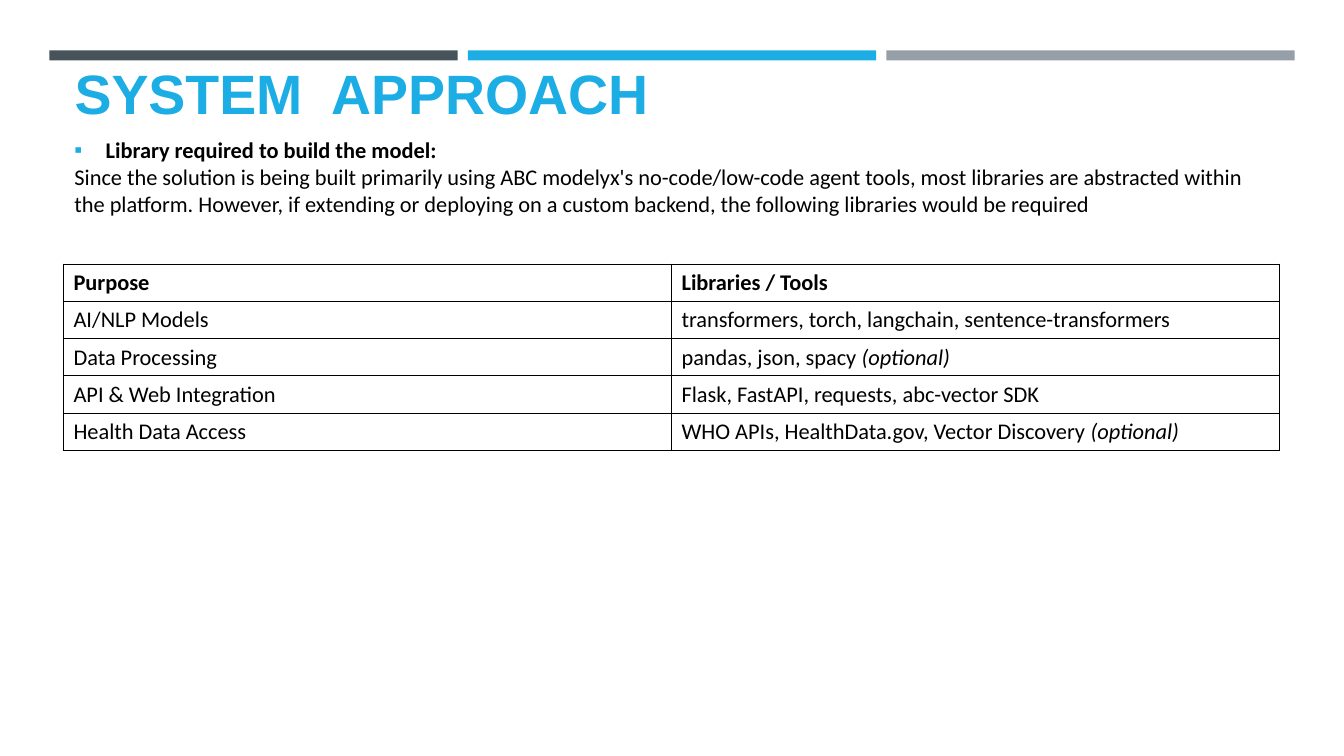
import pptx
import pptx.util
import pptx.dml.color
import pptx.enum.shapes
import pptx.enum.text
import pptx.oxml
import pptx.oxml.ns
from dataclasses import dataclass
from pptx.util import Inches


@dataclass(frozen=True)
class Theme:
    accent: str = "1CADE4"
    slate: str = "465359"
    grey: str = "969FA7"
    ink: str = "000000"
    title_font: str = "Arial"
    body_font: str = "Calibri"
    title_size: float = 39.6
    body_size: float = 16


theme = Theme()


def style_font(font, name, size, color, bold=False):
    font.name = name
    font.size = pptx.util.Pt(size)
    font.color.rgb = pptx.dml.color.RGBColor.from_string(color)
    font.bold = bold


def add_xml(parent, markup):
    namespace = pptx.oxml.ns.nsdecls("a")
    parent.append(pptx.oxml.parse_xml(markup.replace(" ", f" {namespace} ", 1)))


presentation = pptx.Presentation()
presentation.slide_width = Inches(13.33)
presentation.slide_height = Inches(7.5)
slide = presentation.slides.add_slide(presentation.slide_layouts[5])

# Three bars across the top
for index, color in enumerate([theme.slate, theme.accent, theme.grey]):
    bar = slide.shapes.add_shape(
        pptx.enum.shapes.MSO_SHAPE.RECTANGLE,
        Inches(0.49 + index * 4.15), Inches(0.5), Inches(4.05), Inches(0.1))
    bar.shadow.inherit = False
    bar.fill.solid()
    bar.fill.fore_color.rgb = pptx.dml.color.RGBColor.from_string(color)
    bar.line.fill.background()

# Title
title = slide.shapes.title
title.left, title.top = Inches(0.64), Inches(0.72)
title.width, title.height = Inches(12.06), Inches(0.58)
title.text_frame.text = "SYSTEM  APPROACH"
title.text_frame.vertical_anchor = pptx.enum.text.MSO_ANCHOR.BOTTOM
title.text_frame.auto_size = pptx.enum.text.MSO_AUTO_SIZE.NONE
paragraph = title.text_frame.paragraphs[0]
paragraph.alignment = pptx.enum.text.PP_ALIGN.LEFT
style_font(paragraph.font, theme.title_font, theme.title_size, theme.accent, True)

# Introduction with a bulleted heading
introduction = slide.shapes.add_textbox(
    Inches(0.64), Inches(1.3), Inches(12.06), Inches(0.94))
text_frame = introduction.text_frame
text_frame.word_wrap = True
heading = text_frame.paragraphs[0]
heading.text = "Library required to build the model:"
style_font(heading.font, theme.body_font, theme.body_size, theme.ink, True)
properties = heading._p.get_or_add_pPr()
properties.set("marL", str(Inches(0.31)))
properties.set("indent", str(-Inches(0.31)))
bullet_parts = [
    f'<a:buClr ><a:srgbClr val="{theme.accent}"/></a:buClr>',
    '<a:buFont typeface="Arial"/>',
    '<a:buChar char="▪"/>',
]
run_defaults = properties.find(pptx.oxml.ns.qn("a:defRPr"))
for markup in bullet_parts:
    add_xml(properties, markup)
properties.append(run_defaults)  # the schema wants run defaults after the bullet

body = text_frame.add_paragraph()
body.text = (
    "Since the solution is being built primarily using ABC modelyx's "
    "no-code/low-code agent tools, most libraries are abstracted within the "
    "platform. However, if extending or deploying on a custom backend, the "
    "following libraries would be required")
style_font(body.font, theme.body_font, theme.body_size, theme.ink)

# Library table: purpose, tools, italic remark
rows = [
    ("Purpose", "Libraries / Tools", ""),
    ("AI/NLP Models", "transformers, torch, langchain, sentence-transformers", ""),
    ("Data Processing", "pandas, json, spacy ", "(optional)"),
    ("API & Web Integration", "Flask, FastAPI, requests, abc-vector SDK", ""),
    ("Health Data Access", "WHO APIs, HealthData.gov, Vector Discovery ", "(optional)"),
]
table = slide.shapes.add_table(
    len(rows), 2, Inches(0.63), Inches(2.62), Inches(12.06), Inches(0.37 * len(rows))).table
table.first_row = False
table.horz_banding = False
for row_index, (purpose, tools, remark) in enumerate(rows):
    for column_index, text in enumerate([purpose, tools]):
        cell = table.cell(row_index, column_index)
        cell.vertical_anchor = pptx.enum.text.MSO_ANCHOR.MIDDLE
        paragraph = cell.text_frame.paragraphs[0]
        paragraph.text = text
        if column_index == 1 and remark:
            run = paragraph.add_run()
            run.text = remark
            run.font.italic = True
        style_font(paragraph.font, theme.body_font, theme.body_size, theme.ink, row_index == 0)
        for side in ["lnL", "lnR", "lnT", "lnB"]:
            add_xml(cell._tc.get_or_add_tcPr(),
                    f'<a:{side} w="{pptx.util.Pt(1)}"><a:solidFill>'
                    f'<a:srgbClr val="{theme.ink}"/></a:solidFill></a:{side}>')
        cell.fill.background()

presentation.save("out.pptx")
